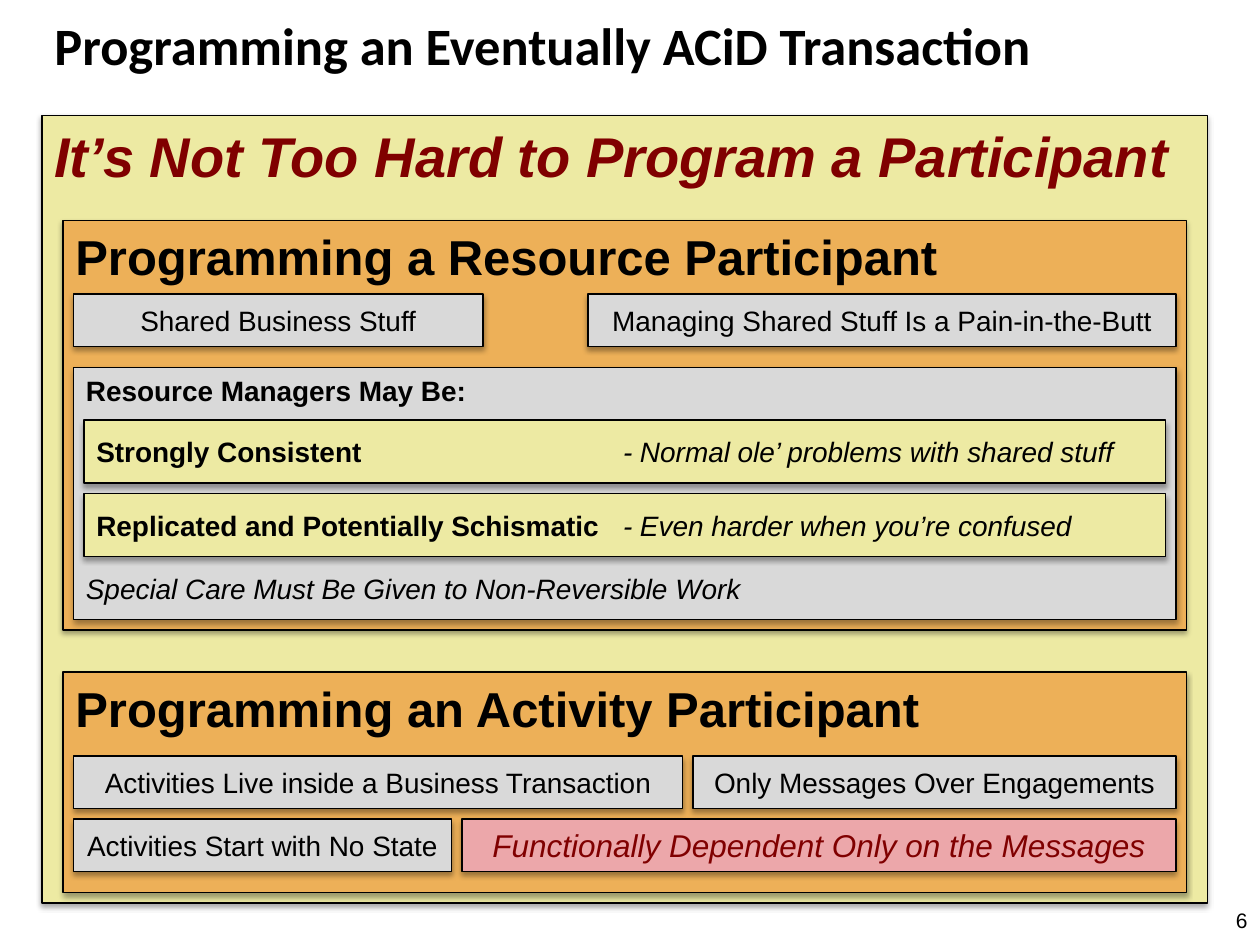
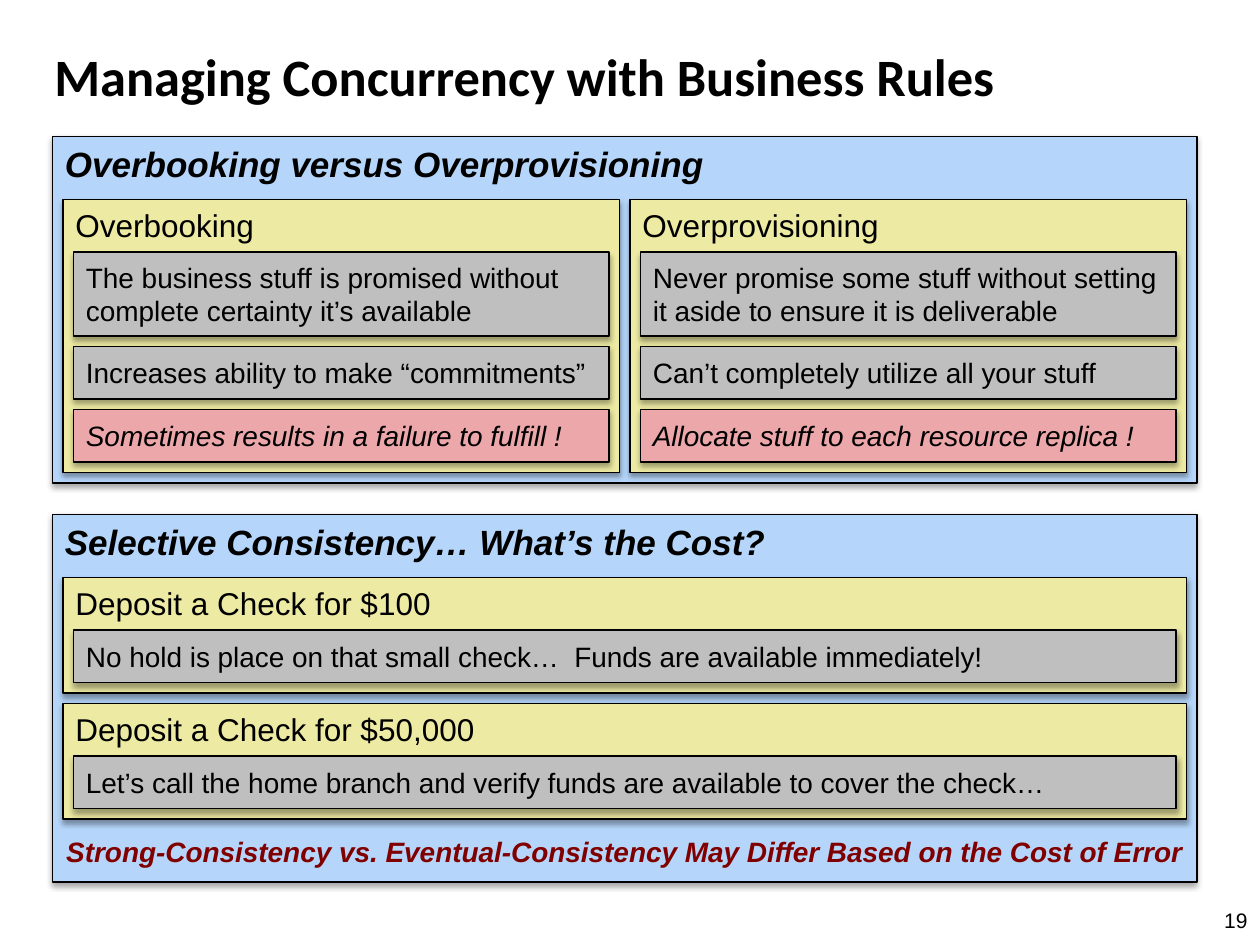
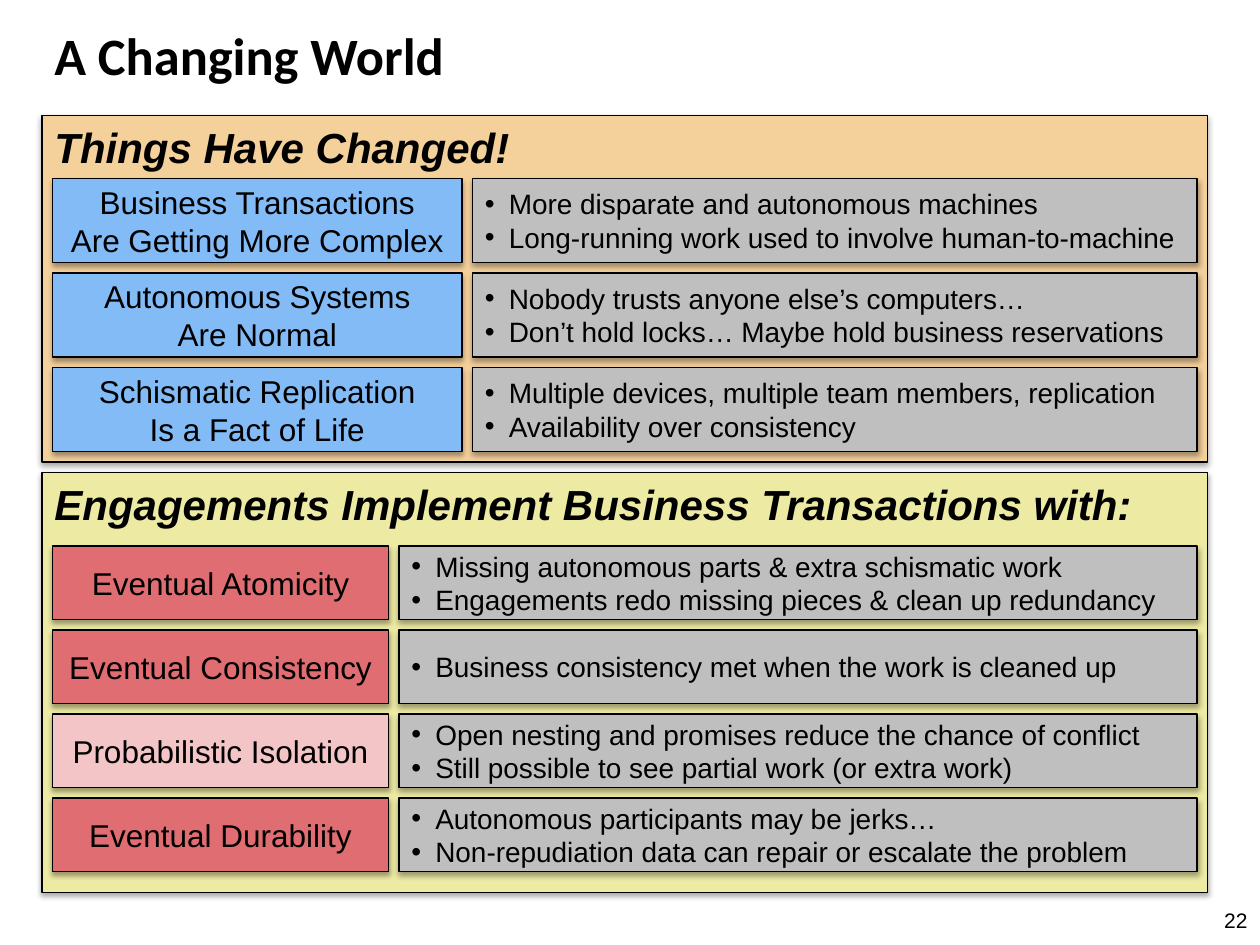
"""Build three slides of nested panels about eventually ACiD transactions."""
from dataclasses import dataclass, replace

from lxml.etree import SubElement
from pptx import Presentation
from pptx.dml.color import RGBColor
from pptx.enum.shapes import MSO_SHAPE
from pptx.enum.text import MSO_ANCHOR, PP_ALIGN
from pptx.oxml.ns import qn
from pptx.shapes.base import BaseShape
from pptx.slide import Slide
from pptx.text.text import TextFrame, _Paragraph as Paragraph
from pptx.util import Inches, Length, Pt

BLACK = RGBColor(0x00, 0x00, 0x00)
MAROON = RGBColor(0x80, 0x00, 0x00)
YELLOW = RGBColor(0xED, 0xEA, 0xA3)
ORANGE = RGBColor(0xED, 0xB0, 0x58)
PEACH = RGBColor(0xF4, 0xD0, 0x9B)
SILVER = RGBColor(0xD9, 0xD9, 0xD9)
GRAY = RGBColor(0xBF, 0xBF, 0xBF)
PINK = RGBColor(0xEC, 0xA7, 0xAA)
PALE_PINK = RGBColor(0xF3, 0xC5, 0xC6)
RED = RGBColor(0xE0, 0x6D, 0x71)
BLUE = RGBColor(0x83, 0xBB, 0xF7)
PALE_BLUE = RGBColor(0xB5, 0xD6, 0xFA)

BULLET_INDENT = Inches(0.19)
REMARK_TAB = Inches(4.18)


@dataclass(frozen=True)
class Style:
    """Look of a box and its text; a box without fill is plain text."""
    fill: RGBColor | None = None
    size: float = 16
    color: RGBColor = BLACK
    bold: bool = False
    italic: bool = False
    font: str = "Arial"
    align: PP_ALIGN = PP_ALIGN.LEFT
    anchor: MSO_ANCHOR = MSO_ANCHOR.MIDDLE
    bulleted: bool = False


@dataclass(frozen=True)
class Box:
    """Text box or panel placed in twelfths of an inch."""
    left: float
    top: float
    width: float
    height: float
    text: str
    style: Style
    remark: str = ""


TITLE = Style(size=30, bold=True, font="Calibri")
PAGE_NUMBER = Style(size=12, align=PP_ALIGN.RIGHT)
FACT = Style(SILVER, align=PP_ALIGN.CENTER)
KEY_FACT = replace(FACT, fill=PINK, size=18, color=MAROON, italic=True)
BANNER = Style(YELLOW, 32, MAROON, bold=True, italic=True, anchor=MSO_ANCHOR.TOP)
PARTICIPANT = Style(ORANGE, 28, bold=True, anchor=MSO_ANCHOR.TOP)
MANAGERS = Style(SILVER, bold=True, anchor=MSO_ANCHOR.TOP)
MANAGER_KIND = Style(YELLOW, bold=True)
TOPIC = Style(PALE_BLUE, 20, bold=True, italic=True, anchor=MSO_ANCHOR.TOP)
CHOICE = Style(YELLOW, 18, anchor=MSO_ANCHOR.TOP)
DETAIL = Style(GRAY)
DRAWBACK = Style(PINK, italic=True)
CONCLUSION = Style(color=MAROON, bold=True, italic=True, align=PP_ALIGN.CENTER)
SECTION = Style(PEACH, 24, bold=True, italic=True, anchor=MSO_ANCHOR.TOP)
LABEL = Style(BLUE, 18, align=PP_ALIGN.CENTER)
BULLETS = Style(GRAY, bulleted=True)


def twelfths(count: float) -> Length:
    """Convert grid units to a length."""
    return Inches(count / 12)


def add_text(para: Paragraph, text: str, *, size: float, color: RGBColor,
             bold: bool, italic: bool, font: str) -> None:
    """Append formatted text, breaking the line at each newline."""
    for index, line in enumerate(text.split("\n")):
        if index:
            para.add_line_break()
        span = para.add_run()
        span.text = line
        span.font.size = Pt(size)
        span.font.color.rgb = color
        span.font.bold = bold
        span.font.italic = italic
        span.font.name = font


def add_bullet(para: Paragraph) -> None:
    """Give a paragraph a hanging bullet."""
    properties = para._p.get_or_add_pPr()
    properties.set("marL", str(BULLET_INDENT))
    properties.set("indent", str(-BULLET_INDENT))
    SubElement(properties, qn("a:buFont"), typeface="Arial")
    SubElement(properties, qn("a:buChar"), char="•")


def add_tab_stop(para: Paragraph, position: Length) -> None:
    """Set one left tab stop."""
    stops = SubElement(para._p.get_or_add_pPr(), qn("a:tabLst"))
    SubElement(stops, qn("a:tab"), pos=str(position), algn="l")


def add_shadow(shape: BaseShape) -> None:
    """Drop a soft shadow straight down."""
    shape.shadow.inherit = False
    effects = shape._element.spPr.find(qn("a:effectLst"))
    outer = SubElement(effects, qn("a:outerShdw"), blurRad=str(Pt(3.1)),
                       dist=str(Pt(1.8)), dir="5400000", rotWithShape="0")
    shade = SubElement(outer, qn("a:srgbClr"), val=str(BLACK))
    SubElement(shade, qn("a:alpha"), val="35000")


def fill_frame(frame: TextFrame, box: Box) -> None:
    """Write the text of a box into its frame."""
    style = box.style
    look = dict(size=style.size, color=style.color, font=style.font)
    frame.word_wrap = True
    frame.vertical_anchor = style.anchor
    lines = box.text.split("\n") if style.bulleted else [box.text]
    for index, line in enumerate(lines):
        para = frame.add_paragraph() if index else frame.paragraphs[0]
        para.alignment = style.align
        if style.bulleted:
            add_bullet(para)
        add_text(para, line, bold=style.bold, italic=style.italic, **look)
        if box.remark:
            add_tab_stop(para, REMARK_TAB)
            add_text(para, "\t" + box.remark, bold=False, italic=True, **look)


def draw_box(page: Slide, box: Box) -> None:
    """Draw a filled panel or a plain text box."""
    place = [twelfths(n) for n in (box.left, box.top, box.width, box.height)]
    if box.style.fill is None:
        shape = page.shapes.add_textbox(*place)
    else:
        shape = page.shapes.add_shape(MSO_SHAPE.RECTANGLE, *place)
        shape.fill.solid()
        shape.fill.fore_color.rgb = box.style.fill
        shape.line.color.rgb = BLACK
        shape.line.width = Pt(0.75)
        add_shadow(shape)
    fill_frame(shape.text_frame, box)


def add_page(deck: Presentation, title: str, title_top: float, number: int,
             boxes: list[Box]) -> None:
    """Add a slide with title, page number and boxes."""
    page = deck.slides.add_slide(deck.slide_layouts[6])
    heading = Box(4, title_top, 113, 10.4, title, TITLE)
    footer = Box(113, 85.2, 7, 4.8, str(number), PAGE_NUMBER)
    for box in (heading, footer, *boxes):
        draw_box(page, box)


def participant_boxes() -> list[Box]:
    """List the boxes about programming participants."""
    return [
        Box(4, 11, 111, 75, "It’s Not Too Hard to Program a Participant", BANNER),
        Box(6, 21, 107, 39, "Programming a Resource Participant", PARTICIPANT),
        Box(7, 28, 39, 5, "Shared Business Stuff", FACT),
        Box(56, 28, 56, 5, "Managing Shared Stuff Is a Pain-in-the-Butt", FACT),
        Box(7, 35, 105, 24, "Resource Managers May Be:", MANAGERS),
        Box(8, 40, 103, 6, "Strongly Consistent", MANAGER_KIND,
            "- Normal ole’ problems with shared stuff"),
        Box(8, 47, 103, 6, "Replicated and Potentially Schismatic", MANAGER_KIND,
            "- Even harder when you’re confused"),
        Box(7, 53.5, 105, 5, "Special Care Must Be Given to Non-Reversible Work",
            Style(italic=True)),
        Box(6, 64, 107, 21, "Programming an Activity Participant", PARTICIPANT),
        Box(7, 72, 58, 5, "Activities Live inside a Business Transaction", FACT),
        Box(66, 72, 46, 5, "Only Messages Over Engagements", FACT),
        Box(7, 78, 36, 5, "Activities Start with No State", FACT),
        Box(44, 78, 68, 5, "Functionally Dependent Only on the Messages", KEY_FACT),
    ]


def business_rule_boxes() -> list[Box]:
    """List the boxes about concurrency and business rules."""
    choices = [
        ("Overbooking",
         "The business stuff is promised without complete certainty it’s available",
         "Increases ability to make “commitments”",
         "Sometimes results in a failure to fulfill !"),
        ("Overprovisioning",
         "Never promise some stuff without setting it aside to ensure it is deliverable",
         "Can’t completely utilize all your stuff",
         "Allocate stuff to each resource replica !"),
    ]
    deposits = [
        ("Deposit a Check for $100",
         "No hold is place on that small check…  Funds are available immediately!"),
        ("Deposit a Check for $50,000",
         "Let’s call the home branch and verify funds are available to cover the check…"),
    ]
    boxes = [Box(5, 13, 109, 33, "Overbooking versus Overprovisioning", TOPIC)]
    for column, (name, promise, effect, drawback) in enumerate(choices):
        left = 6 + 54 * column
        boxes += [
            Box(left, 19, 53, 26, name, CHOICE),
            Box(left + 1, 24, 51, 8, promise, DETAIL),
            Box(left + 1, 33, 51, 5, effect, DETAIL),
            Box(left + 1, 39, 51, 5, drawback, DRAWBACK),
        ]
    boxes.append(Box(5, 49, 109, 35, "Selective Consistency… What’s the Cost?", TOPIC))
    for row, (deposit, handling) in enumerate(deposits):
        top = 55 + 12 * row
        boxes += [
            Box(6, top, 107, 11, deposit, CHOICE),
            Box(7, top + 5, 105, 5, handling, DETAIL),
        ]
    boxes.append(Box(
        5, 78.6, 109, 5,
        "Strong-Consistency vs. Eventual-Consistency May Differ Based on the Cost of Error",
        CONCLUSION))
    return boxes


def labelled_rows(top: int, height: int, label_width: int,
                  rows: list[tuple[str, str, RGBColor]]) -> list[Box]:
    """Stack rows of a coloured label beside its bullets."""
    boxes = []
    for index, (label, points, fill) in enumerate(rows):
        row_top = top + index * (height + 1)
        boxes += [
            Box(5, row_top, label_width, height, label, replace(LABEL, fill=fill)),
            Box(6 + label_width, row_top, 108 - label_width, height, points, BULLETS),
        ]
    return boxes


def changing_world_boxes() -> list[Box]:
    """List the boxes about changes and engagements."""
    changes = [
        ("Business Transactions\nAre Getting More Complex",
         "More disparate and autonomous machines\n"
         "Long-running work used to involve human-to-machine", BLUE),
        ("Autonomous Systems\nAre Normal",
         "Nobody trusts anyone else’s computers…\n"
         "Don’t hold locks… Maybe hold business reservations", BLUE),
        ("Schismatic Replication\nIs a Fact of Life",
         "Multiple devices, multiple team members, replication\n"
         "Availability over consistency", BLUE),
    ]
    guarantees = [
        ("Eventual Atomicity",
         "Missing autonomous parts & extra schismatic work\n"
         "Engagements redo missing pieces & clean up redundancy", RED),
        ("Eventual Consistency",
         "Business consistency met when the work is cleaned up", RED),
        ("Probabilistic Isolation",
         "Open nesting and promises reduce the chance of conflict\n"
         "Still possible to see partial work (or extra work)", PALE_PINK),
        ("Eventual Durability",
         "Autonomous participants may be jerks…\n"
         "Non-repudiation data can repair or escalate the problem", RED),
    ]
    return [
        Box(4, 11, 111, 33, "Things Have Changed!", SECTION),
        *labelled_rows(17, 8, 39, changes),
        Box(4, 45, 111, 40, "Engagements Implement Business Transactions with:",
            replace(SECTION, fill=YELLOW)),
        *labelled_rows(52, 7, 32, guarantees),
    ]


def main() -> None:
    """Build and save the deck."""
    deck = Presentation()
    deck.slide_width = Inches(10)
    deck.slide_height = Inches(7.5)
    add_page(deck, "Programming an Eventually ACiD Transaction", -1, 6,
             participant_boxes())
    add_page(deck, "Managing Concurrency with Business Rules", 2, 19,
             business_rule_boxes())
    add_page(deck, "A Changing World", 0, 22, changing_world_boxes())
    deck.save("out.pptx")


if __name__ == "__main__":
    main()
